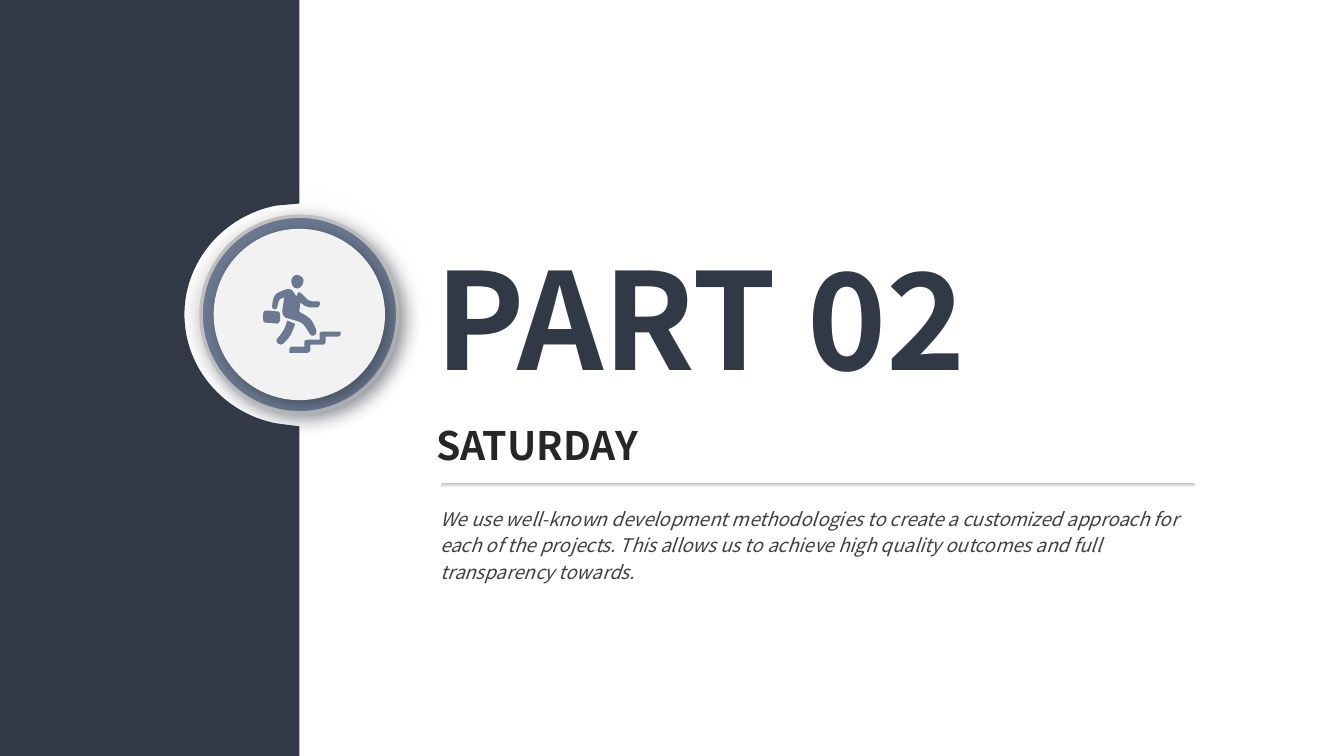
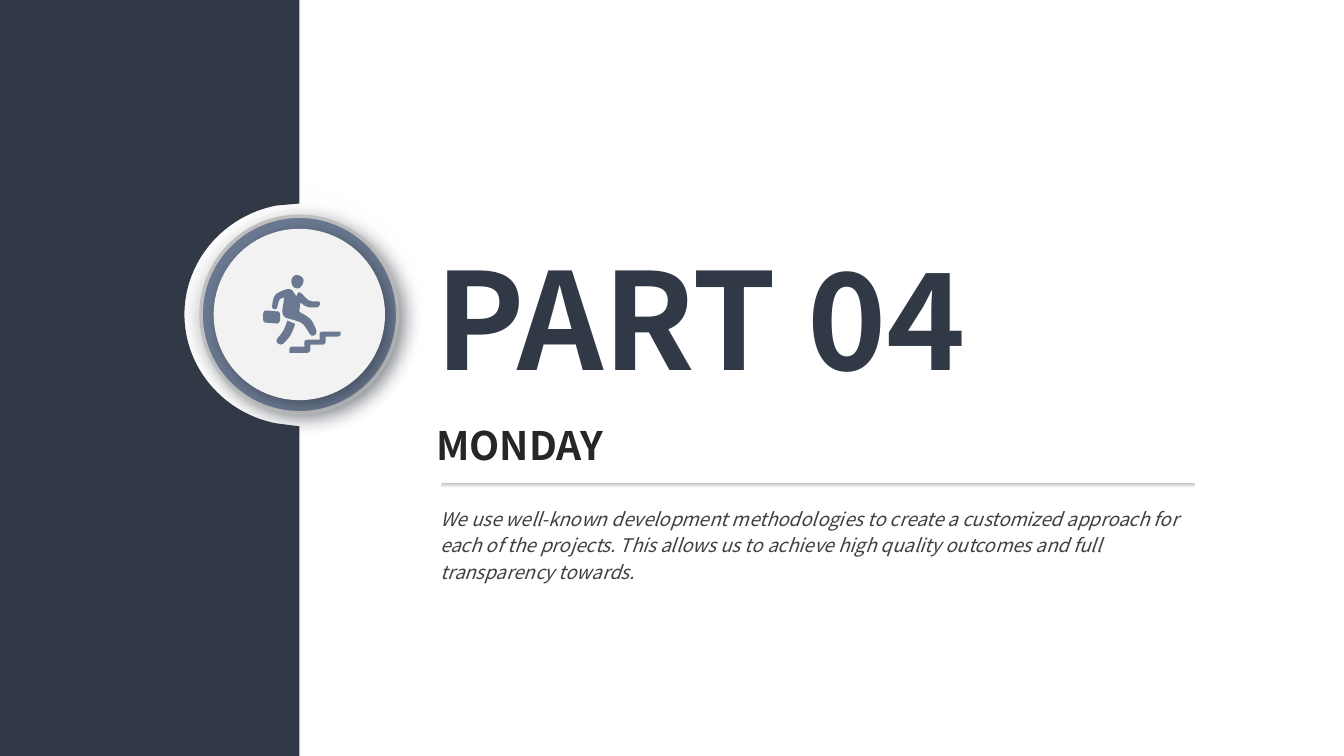
import dataclasses

import lxml.etree
import pptx
import pptx.dml.color
import pptx.enum.shapes
import pptx.enum.text
import pptx.oxml.ns
import pptx.util

Inches = pptx.util.Inches
Pt = pptx.util.Pt
Shapes = pptx.enum.shapes.MSO_SHAPE
Align = pptx.enum.text.PP_ALIGN
qn = pptx.oxml.ns.qn


@dataclasses.dataclass(frozen=True)
class Theme:
    font: str = "Noto Sans CJK JP"
    navy: str = "313846"
    slate: str = "6A7991"
    shadow: str = "353C48"
    heading: str = "262626"
    body: str = "404040"
    silver: str = "BFBFBF"
    pale: str = "F2F2F2"
    white: str = "FFFFFF"
    part_size: float = 96
    heading_size: float = 28
    body_size: float = 13.33


THEME = Theme()
DESCRIPTION = (
    "We use well-known development methodologies to create a customized approach for each "
    "of the projects. This allows us to achieve high quality outcomes and full transparency towards."
)

# Outlines in inches: each contour is a start point, then lines (2 numbers) or curves (6 numbers)
BAND = [[
    (0, 0), (2.97, 0), (2.97, 2.02), (2.74, 2.04),
    (2.22, 2.14, 1.83, 2.59, 1.83, 3.12), (1.83, 3.65, 2.22, 4.1, 2.74, 4.2),
    (2.97, 4.23), (2.97, 7.5), (0, 7.5),
]]
STAIRS = [[
    (2.89, 3.44), (3.02, 3.44), (3.02, 3.39), (3.02, 3.38, 3.03, 3.37, 3.05, 3.37),
    (3.17, 3.37), (3.17, 3.31), (3.17, 3.3, 3.18, 3.29, 3.2, 3.29),
    (3.38, 3.29), (3.38, 3.32), (3.38, 3.33, 3.36, 3.34, 3.35, 3.34),
    (3.23, 3.34), (3.23, 3.4), (3.23, 3.41, 3.21, 3.42, 3.2, 3.42),
    (3.08, 3.42), (3.08, 3.47), (3.08, 3.49, 3.06, 3.5, 3.05, 3.5),
    (2.87, 3.5), (2.87, 3.47), (2.87, 3.45, 2.88, 3.44, 2.89, 3.44),
]]
BRIEFCASE = [
    (2.63, 3.2), (2.75, 3.21), (2.76, 3.21, 2.77, 3.2, 2.78, 3.18),
    (2.78, 3.12), (2.78, 3.11, 2.77, 3.09, 2.76, 3.09),
    (2.64, 3.08), (2.63, 3.08, 2.61, 3.09, 2.61, 3.11),
    (2.61, 3.17), (2.61, 3.19, 2.62, 3.2, 2.63, 3.2),
]
BACK_LEG = [
    (2.75, 3.36), (2.81, 3.29, 2.82, 3.28, 2.85, 3.18),
    (2.87, 3.19, 2.9, 3.2, 2.92, 3.21), (2.93, 3.21),
    (2.89, 3.32, 2.89, 3.33, 2.81, 3.41), (2.78, 3.44, 2.72, 3.39, 2.75, 3.36),
]
HEAD = [
    (2.96, 2.73), (3, 2.74, 3.02, 2.77, 3.01, 2.8), (3, 2.84, 2.97, 2.87, 2.94, 2.86),
    (2.9, 2.86, 2.89, 2.81, 2.89, 2.78), (2.9, 2.74, 2.93, 2.72, 2.96, 2.73),
]
TORSO = [
    (2.96, 2.9), (2.96, 2.9, 2.98, 2.9, 2.99, 2.91), (3.07, 2.99, 3.05, 2.99, 3.15, 2.99),
    (3.19, 2.98, 3.18, 3.04, 3.15, 3.05), (3.06, 3.05, 3.05, 3.06, 2.98, 3),
    (2.97, 3.09), (2.97, 3.09, 2.97, 3.1, 2.98, 3.1),
    (3.07, 3.15, 3.09, 3.15, 3.14, 3.28), (3.15, 3.33, 3.09, 3.35, 3.07, 3.31),
    (3, 3.18, 2.99, 3.2, 2.83, 3.15), (2.81, 3.13, 2.8, 3.12, 2.8, 3.09),
    (2.82, 2.95), (2.76, 2.97, 2.77, 2.97, 2.75, 3.05),
    (2.75, 3.08, 2.69, 3.07, 2.7, 3.04), (2.71, 2.92, 2.73, 2.91, 2.84, 2.87),
    (2.86, 2.86, 2.89, 2.87, 2.9, 2.88), (2.94, 2.94), (2.96, 2.9),
]
CLIMBER = [BRIEFCASE, BACK_LEG, HEAD, TORSO]


def rgb(color):
    return pptx.dml.color.RGBColor.from_string(color)


def contour_points(contour):
    """List the points of a contour, control points included."""
    return [(Inches(segment[i]), Inches(segment[i + 1]))
            for segment in contour for i in range(0, len(segment), 2)]


def bend_curves(shape, contours):
    """Merge the three lines that stand for each curve into one Bézier."""
    lines = iter(list(shape._element.spPr.iter(qn("a:lnTo"))))
    for contour in contours:
        for segment in contour[1:]:
            first = next(lines)
            if len(segment) == 6:
                first.tag = qn("a:cubicBezTo")
                for line in (next(lines), next(lines)):
                    first.append(line[0])
                    line.getparent().remove(line)


def write_text(shape, text, *, size, color, bold=False, italic=False,
               align=Align.LEFT, line_spacing=None):
    frame = shape.text_frame
    frame.word_wrap = True
    frame.auto_size = pptx.enum.text.MSO_AUTO_SIZE.NONE
    frame.vertical_anchor = pptx.enum.text.MSO_ANCHOR.TOP
    frame.text = text
    paragraph = frame.paragraphs[0]
    paragraph.alignment = align
    paragraph.line_spacing = line_spacing
    font = paragraph.runs[0].font
    font.name, font.size, font.color.rgb = THEME.font, Pt(size), rgb(color)
    font.bold, font.italic = bold, italic


class Deck:
    def __init__(self, theme):
        self.theme = theme
        self.presentation = pptx.Presentation()
        self.presentation.slide_width = Inches(40) // 3
        self.presentation.slide_height = Inches(7.5)
        self.slide = None

    def add_slide(self):
        self.slide = self.presentation.slides.add_slide(self.presentation.slide_layouts[5])
        self.slide.background.fill.solid()
        self.slide.background.fill.fore_color.rgb = rgb(self.theme.white)

    def title(self, text, left, top, width, height, **style):
        shape = self.slide.shapes.title
        shape.left, shape.top = Inches(left), Inches(top)
        shape.width, shape.height = Inches(width), Inches(height)
        write_text(shape, text, **style)

    def text(self, text, left, top, width, height, **style):
        box = self.slide.shapes.add_textbox(
            Inches(left), Inches(top), Inches(width), Inches(height))
        write_text(box, text, **style)

    def paint(self, shape, fill):
        shape.shadow.inherit = False
        shape.line.fill.background()
        if fill:
            shape.fill.solid()
            shape.fill.fore_color.rgb = rgb(fill)
        return shape

    def shape(self, kind, left, top, width, height, fill=None):
        shape = self.slide.shapes.add_shape(
            kind, Inches(left), Inches(top), Inches(width), Inches(height))
        return self.paint(shape, fill)

    def disc(self, center, diameter, fill=None):
        left, top = (middle - diameter / 2 for middle in center)
        return self.shape(Shapes.OVAL, left, top, diameter, diameter, fill)

    def outline(self, contours, fill):
        builder = None
        for contour in contours:
            start, *others = contour_points(contour)
            if builder is None:
                builder = self.slide.shapes.build_freeform(*start)
            else:
                builder.move_to(*start)
            builder.add_line_segments(others, close=True)
        shape = builder.convert_to_shape()
        bend_curves(shape, contours)
        return self.paint(shape, fill)

    def gradient(self, shape, top_color, bottom_color, bottom_alpha=100):
        shape.fill.gradient()
        shape.fill.gradient_angle = 270
        for stop, color in zip(shape.fill.gradient_stops, (top_color, bottom_color)):
            stop.color.rgb = rgb(color)
        if bottom_alpha < 100:
            last_color = list(shape._element.spPr.iter(qn("a:srgbClr")))[-1]
            lxml.etree.SubElement(last_color, qn("a:alpha"), val=str(bottom_alpha * 1000))

    def effect(self, shape, name, **attributes):
        effects = shape._element.spPr.find(qn("a:effectLst"))
        return lxml.etree.SubElement(effects, qn(name), **attributes)

    def drop_shadow(self, shape, color, alpha, blur, distance, angle):
        shadow = self.effect(
            shape, "a:outerShdw", blurRad=str(Pt(blur)), dist=str(Pt(distance)),
            dir=str(angle * 60000), algn="tl", rotWithShape="0")
        shade = lxml.etree.SubElement(shadow, qn("a:srgbClr"), val=color)
        lxml.etree.SubElement(shade, qn("a:alpha"), val=str(alpha * 1000))

    def medallion(self):
        theme, center = self.theme, (2.97, 3.12)
        halo = self.disc(center, 2.61)
        self.gradient(halo, theme.white, theme.silver, bottom_alpha=0)
        self.effect(halo, "a:softEdge", rad=str(Pt(12.5)))
        ring = self.disc(center, 1.95, theme.slate)
        ring.line.color.rgb = rgb(theme.silver)
        ring.line.width = Pt(2.5)
        face = self.disc(center, 1.7, theme.pale)
        for shape, alpha in ((ring, 45), (face, 64)):
            self.drop_shadow(shape, theme.shadow, alpha, blur=12, distance=5, angle=45)

    def part_slide(self, part, day):
        theme = self.theme
        self.add_slide()
        # Medallion and side band with its round notch
        self.medallion()
        self.outline(BAND, theme.navy)
        # Divider
        divider = self.shape(Shapes.ROUNDED_RECTANGLE, 4.38, 4.79, 7.48, 0.05)
        divider.adjustments[0] = 0.5
        self.gradient(divider, theme.silver, theme.white)
        # Texts
        self.title(part, 4.22, 2.29, 6.44, 1.72,
                   size=theme.part_size, color=theme.navy, bold=True)
        self.text(day, 4.23, 4.13, 3.63, 0.57, size=theme.heading_size,
                  color=theme.heading, bold=True, align=Align.JUSTIFY)
        self.text(DESCRIPTION, 4.27, 4.94, 7.59, 0.9, size=theme.body_size,
                  color=theme.body, italic=True, line_spacing=1.2)
        # Icon
        for contours in (STAIRS, CLIMBER):
            self.outline(contours, theme.slate)


def main():
    deck = Deck(THEME)
    for part, day in (("PART 02", "SATURDAY"), ("PART 04", "MONDAY")):
        deck.part_slide(part, day)
    deck.presentation.save("out.pptx")


if __name__ == "__main__":
    main()
